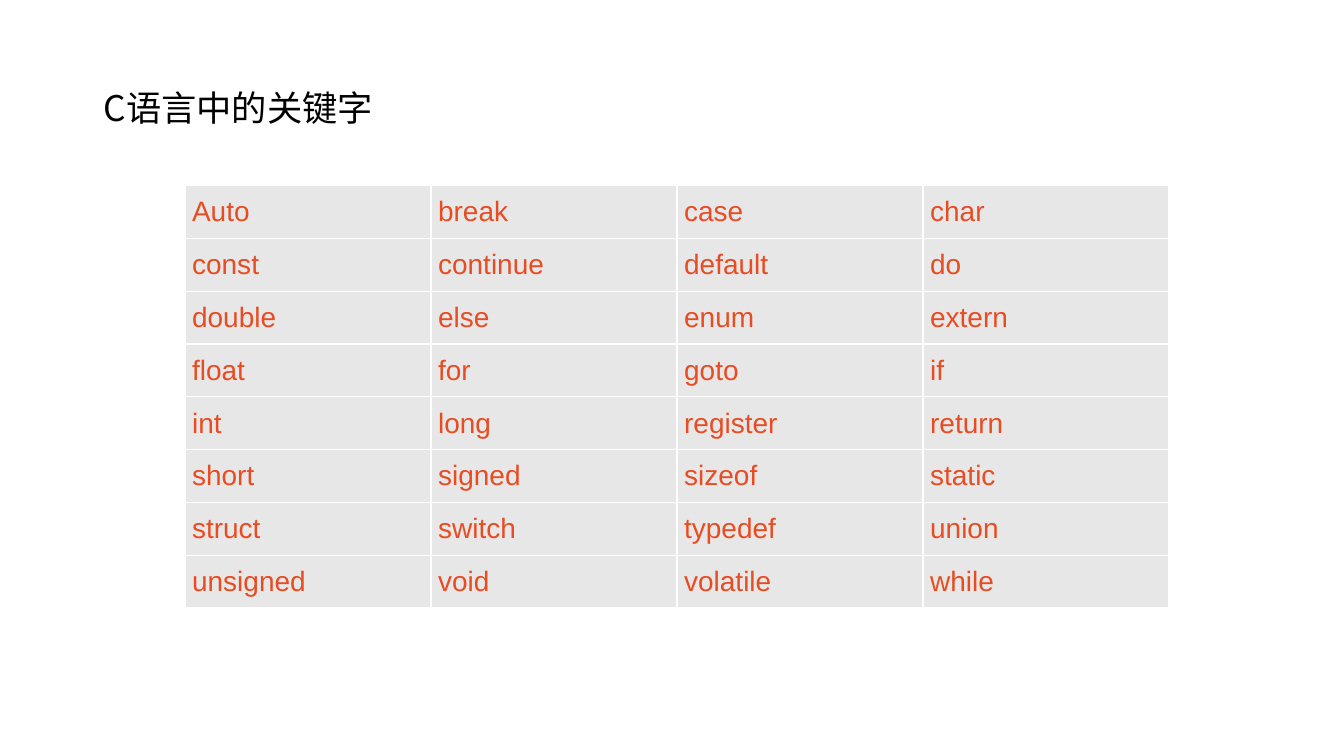
"""Builds a slide with a table of the C language keywords."""
from dataclasses import dataclass

from lxml.etree import SubElement
from pptx import Presentation
from pptx.dml.color import RGBColor
from pptx.enum.text import MSO_ANCHOR, PP_ALIGN
from pptx.oxml import parse_xml
from pptx.oxml.ns import nsdecls, qn
from pptx.util import Cm, Pt


@dataclass(frozen=True)
class Theme:
    title_font: str = "Noto Sans CJK SC"
    title_size: float = 25.2
    title_color: str = "000000"
    cell_font: str = "Arial"
    cell_size: float = 20
    cell_color: str = "E84C22"
    cell_fill: str = "E7E7E7"
    background: str = "FFFFFF"


THEME = Theme()
KEYWORDS = [
    ["Auto", "break", "case", "char"],
    ["const", "continue", "default", "do"],
    ["double", "else", "enum", "extern"],
    ["float", "for", "goto", "if"],
    ["int", "long", "register", "return"],
    ["short", "signed", "sizeof", "static"],
    ["struct", "switch", "typedef", "union"],
    ["unsigned", "void", "volatile", "while"],
]
COL_WIDTH, ROW_HEIGHT = Cm(6.2), Cm(1.33)


def format_run(r, font, size, color):
    r.font.name = font
    r.font.size = Pt(size)
    r.font.color.rgb = RGBColor.from_string(color)
    SubElement(r.font._element, qn("a:ea"), typeface=font)


def set_background(s):
    fill = s.background.fill
    fill.solid()
    fill.fore_color.rgb = RGBColor.from_string(THEME.background)


def add_title(s, text):
    sp = s.shapes.add_textbox(Cm(2.36), Cm(1.37), Cm(7.7), Cm(2.46))
    tf = sp.text_frame
    tf.word_wrap = True
    tf.vertical_anchor = MSO_ANCHOR.MIDDLE
    tf.text = text
    p = tf.paragraphs[0]
    p.line_spacing = 1.2
    format_run(p.runs[0], THEME.title_font, THEME.title_size, THEME.title_color)


def set_borders(cell):
    tc_pr = cell._tc.get_or_add_tcPr()
    for i, side in enumerate("LRTB"):
        tc_pr.insert(i, parse_xml(
            f'<a:ln{side} {nsdecls("a")} w="{Pt(1)}"><a:solidFill>'
            f'<a:srgbClr val="{THEME.background}"/></a:solidFill></a:ln{side}>'))


def fill_cell(cell, text):
    cell.fill.solid()
    cell.fill.fore_color.rgb = RGBColor.from_string(THEME.cell_fill)
    cell.margin_left = cell.margin_right = Cm(0.18)
    cell.margin_top = cell.margin_bottom = 0
    cell.vertical_anchor = MSO_ANCHOR.MIDDLE
    cell.text_frame.text = text
    p = cell.text_frame.paragraphs[0]
    p.alignment = PP_ALIGN.JUSTIFY
    format_run(p.runs[0], THEME.cell_font, THEME.cell_size, THEME.cell_color)
    set_borders(cell)


def add_keyword_table(s, rows):
    n_rows, n_cols = len(rows), len(rows[0])
    table = s.shapes.add_table(n_rows, n_cols, Cm(4.66), Cm(4.68),
                               COL_WIDTH * n_cols, ROW_HEIGHT * n_rows).table
    table.first_row = table.horz_banding = False
    for col in table.columns:
        col.width = COL_WIDTH
    for row, words in zip(table.rows, rows):
        row.height = ROW_HEIGHT
        for cell, word in zip(row.cells, words):
            fill_cell(cell, word)


def main():
    prs = Presentation()
    prs.slide_width, prs.slide_height = Cm(33.87), Cm(19.05)
    s = prs.slides.add_slide(prs.slide_layouts[6])
    set_background(s)
    add_title(s, "C语言中的关键字")
    add_keyword_table(s, KEYWORDS)
    prs.save("out.pptx")


if __name__ == "__main__":
    main()
